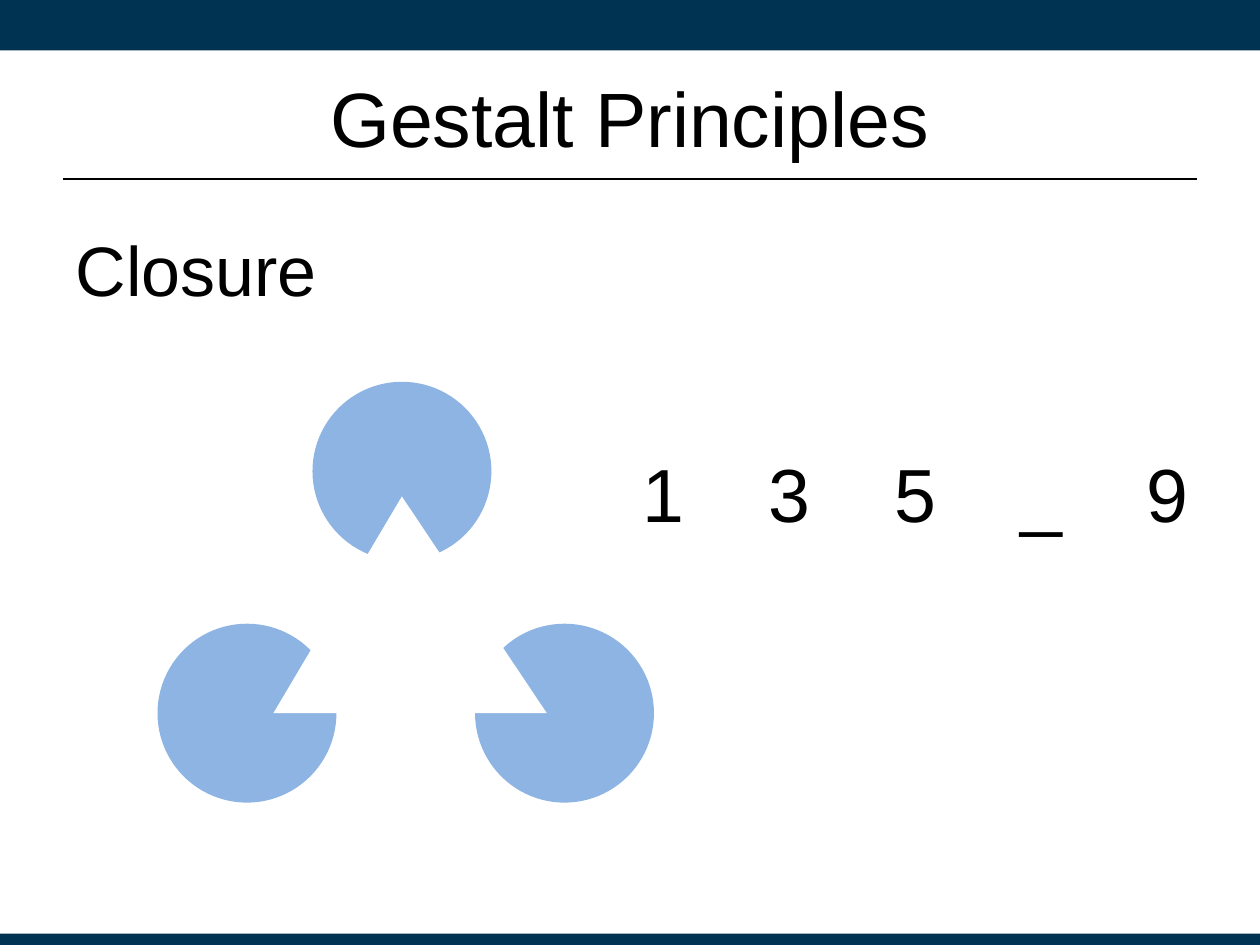
from typing import NamedTuple

from lxml.etree import SubElement
from pptx import Presentation
from pptx.dml.color import RGBColor
from pptx.enum.shapes import MSO_CONNECTOR, MSO_SHAPE
from pptx.enum.text import MSO_ANCHOR, MSO_AUTO_SIZE, PP_ALIGN
from pptx.oxml.ns import qn
from pptx.util import Inches, Pt

NAVY = RGBColor(0x00, 0x32, 0x52)
SKY = RGBColor(0x8E, 0xB4, 0xE3)
WHITE = RGBColor(0xFF, 0xFF, 0xFF)
BLACK = RGBColor(0x00, 0x00, 0x00)
FONT = "Arial"
SLIDE_WIDTH, SLIDE_HEIGHT = 10, 7.5
MARGIN = 0.05 * SLIDE_WIDTH
CONTENT_WIDTH = SLIDE_WIDTH - 2 * MARGIN
DISC_SIZE = 1.42
SEQUENCE = "135_9"


class Box(NamedTuple):
    left: float
    top: float
    width: float
    height: float

    def lengths(self) -> list:
        return [Inches(value) for value in self]


class Figure(NamedTuple):
    kind: MSO_SHAPE
    box: Box
    color: RGBColor


def disc(left: float, top: float) -> Figure:
    return Figure(MSO_SHAPE.OVAL, Box(left, top, DISC_SIZE, DISC_SIZE), SKY)


BARS = [
    Figure(MSO_SHAPE.RECTANGLE, Box(0, 0, SLIDE_WIDTH, 0.4), NAVY),
    Figure(MSO_SHAPE.RECTANGLE, Box(0, 7.41, SLIDE_WIDTH, 0.09), NAVY),
]
DISCS = [disc(1.25, 4.95), disc(3.77, 4.95), disc(2.48, 3.03)]
TRIANGLE = Figure(MSO_SHAPE.ISOSCELES_TRIANGLE, Box(2.17, 3.94, 2.17, 1.72), WHITE)


def draw_figure(shapes, figure: Figure):
    shape = shapes.add_shape(figure.kind, *figure.box.lengths())
    shape.shadow.inherit = False
    shape.fill.solid()
    shape.fill.fore_color.rgb = figure.color
    shape.line.fill.background()
    return shape


def write(holder, box: Box, text: str, *, size: float, align=PP_ALIGN.LEFT,
          anchor=MSO_ANCHOR.TOP):
    """Place the holder, fill it with one formatted paragraph and return that."""
    holder.left, holder.top, holder.width, holder.height = box.lengths()
    frame = holder.text_frame
    frame.word_wrap = True
    frame.auto_size = MSO_AUTO_SIZE.NONE
    frame.vertical_anchor = anchor
    paragraph = frame.paragraphs[0]
    paragraph.alignment = align
    run = paragraph.add_run()
    run.text = text
    run.font.name = FONT
    run.font.size = Pt(size)
    run.font.color.rgb = BLACK
    return paragraph


def remove_bullet(paragraph) -> None:
    properties = paragraph._p.get_or_add_pPr()
    properties.set("marL", "0")
    properties.set("indent", "0")
    SubElement(properties, qn("a:buNone"))


def set_tab_stops(paragraph, count: int, step: float) -> None:
    stops = SubElement(paragraph._p.get_or_add_pPr(), qn("a:tabLst"))
    for number in range(1, count + 1):
        SubElement(stops, qn("a:tab"), pos=str(Inches(number * step)), algn="l")


def draw_title_rule(shapes, height: float) -> None:
    rule = shapes.add_connector(
        MSO_CONNECTOR.STRAIGHT, Inches(MARGIN), Inches(height),
        Inches(SLIDE_WIDTH - MARGIN), Inches(height))
    rule.line.color.rgb = BLACK
    rule.line.width = Pt(1.25)
    SubElement(rule._element.spPr, qn("a:effectLst"))


def main() -> None:
    deck = Presentation()
    deck.slide_width, deck.slide_height = Inches(SLIDE_WIDTH), Inches(SLIDE_HEIGHT)
    slide = deck.slides.add_slide(deck.slide_layouts[1])
    shapes = slide.shapes

    for bar in BARS:
        draw_figure(shapes, bar)

    write(shapes.title, Box(MARGIN, 0.3, CONTENT_WIDTH, 1.25), "Gestalt Principles",
          size=44, align=PP_ALIGN.CENTER, anchor=MSO_ANCHOR.MIDDLE)
    principle = write(slide.placeholders[1], Box(MARGIN, 1.75, CONTENT_WIDTH, 4.95),
                      "Closure", size=40)
    remove_bullet(principle)

    sequence_box = Box(SLIDE_WIDTH / 2, 3.5, 4.67, 0.82)
    sequence = write(shapes.add_textbox(*sequence_box.lengths()), sequence_box,
                     "\t".join(SEQUENCE), size=43)
    set_tab_stops(sequence, count=len(SEQUENCE) - 1, step=SLIDE_WIDTH / 10)

    illusion = shapes.add_group_shape()
    for figure in DISCS:
        draw_figure(illusion.shapes, figure)
    draw_figure(illusion.shapes, TRIANGLE).adjustments[0] = 0.47

    draw_title_rule(shapes, 1.42)
    deck.save("out.pptx")


if __name__ == "__main__":
    main()
